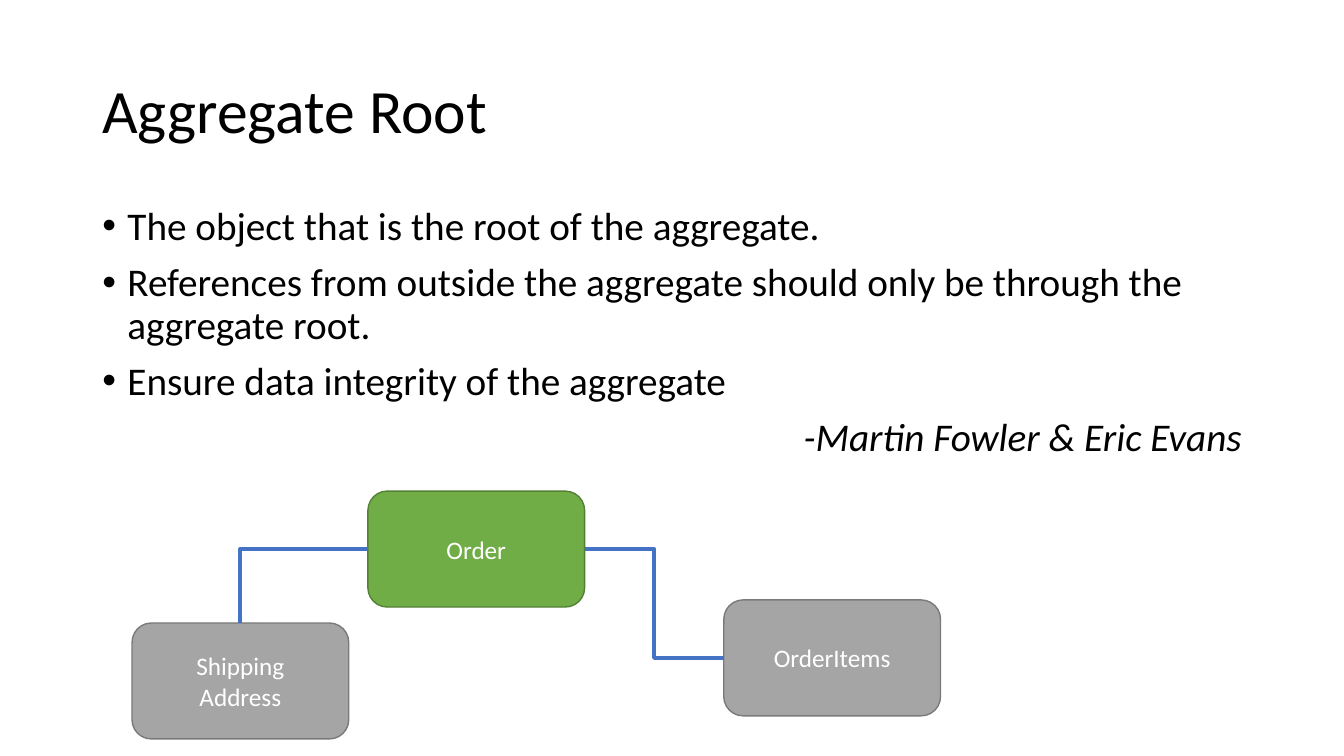
from lxml import etree
from pptx import Presentation
from pptx.dml.color import RGBColor
from pptx.enum.shapes import MSO_CONNECTOR, MSO_SHAPE
from pptx.enum.text import MSO_ANCHOR, PP_ALIGN
from pptx.oxml.ns import qn
from pptx.util import Pt

ELBOW = MSO_CONNECTOR.ELBOW
ROUNDED = MSO_SHAPE.ROUNDED_RECTANGLE
MIDDLE, TOP = MSO_ANCHOR.MIDDLE, MSO_ANCHOR.TOP
LEFT, CENTER, RIGHT = PP_ALIGN.LEFT, PP_ALIGN.CENTER, PP_ALIGN.RIGHT
SIDE_TOP, SIDE_LEFT, SIDE_RIGHT = 0, 1, 3

COLORS = {
    "text": "000000",
    "label": "FFFFFF",
    "root": "70AD47",
    "root_line": "538035",
    "member": "A5A5A5",
    "member_line": "7A7A7A",
    "link": "4472C4",
}


def color(name):
    return RGBColor.from_string(COLORS[name])


def write_lines(shape, lines, anchor, font_format, paragraph_format):
    frame = shape.text_frame
    frame.word_wrap = True
    frame.vertical_anchor = anchor
    frame.text = "\n".join(lines)
    for paragraph in frame.paragraphs:
        for name, value in paragraph_format.items():
            setattr(paragraph, name, value)
        font = paragraph.runs[0].font
        for name, value in font_format.items():
            setattr(font, name, value)
    return frame.paragraphs


presentation = Presentation()
presentation.slide_width = Pt(960)
presentation.slide_height = Pt(540)
slide = presentation.slides.add_slide(presentation.slide_layouts[6])

title = slide.shapes.add_textbox(Pt(66), Pt(28.8), Pt(828), Pt(104.4))
title_font = {"name": "Calibri", "size": Pt(44)}
title_paragraphs = write_lines(
    title, ["Aggregate Root"], MIDDLE, title_font, {"line_spacing": 0.9}
)

body = slide.shapes.add_textbox(Pt(66), Pt(144), Pt(828), Pt(342.7))
body_lines = [
    "The object that is the root of the aggregate.",
    "References from outside the aggregate should only be through the aggregate root.",
    "Ensure data integrity of the aggregate",
    "-Martin Fowler & Eric Evans",
]
body_font = {"name": "Calibri", "size": Pt(28)}
body_format = {"alignment": LEFT, "line_spacing": 0.9, "space_before": Pt(10)}
body_paragraphs = write_lines(body, body_lines, TOP, body_font, body_format)

for paragraph in (*title_paragraphs, *body_paragraphs):
    paragraph.runs[0].font.color.rgb = color("text")

*bullets, attribution = body_paragraphs
for paragraph in bullets:
    properties = paragraph._p.get_or_add_pPr()
    properties.set("marL", str(Pt(18)))
    properties.set("indent", str(Pt(-18)))
    etree.SubElement(properties, qn("a:buFont")).set("typeface", "Arial")
    etree.SubElement(properties, qn("a:buChar")).set("char", "•")
attribution.alignment = RIGHT
attribution.runs[0].font.italic = True

entities = [
    (["Order"], 262.8, 350.8, "root"),
    (["OrderItems"], 517, 428.5, "member"),
    (["Shipping", "Address"], 94.3, 445, "member"),
]
label_font = {"name": "Calibri", "size": Pt(18)}
boxes = []
for lines, left, top, role in entities:
    box = slide.shapes.add_shape(ROUNDED, Pt(left), Pt(top), Pt(154.8), Pt(82.8))
    box.shadow.inherit = False
    box.fill.solid()
    box.fill.fore_color.rgb = color(role)
    box.line.color.rgb = color(role + "_line")
    box.line.width = Pt(1)
    for paragraph in write_lines(box, lines, MIDDLE, label_font, {"alignment": CENTER}):
        paragraph.runs[0].font.color.rgb = color("label")
    boxes.append(box)

order, order_items, shipping_address = boxes
links = [
    (SIDE_LEFT, shipping_address, SIDE_TOP, "bentConnector2"),
    (SIDE_RIGHT, order_items, SIDE_LEFT, "bentConnector3"),
]
for order_side, member, member_side, geometry in links:
    link = slide.shapes.add_connector(ELBOW, order.left, order.top, member.left, member.top)
    link.begin_connect(order, order_side)
    link.end_connect(member, member_side)
    link.line.color.rgb = color("link")
    link.line.width = Pt(3)
    properties = link._element.spPr
    properties.find(qn("a:prstGeom")).set("prst", geometry)
    etree.SubElement(properties, qn("a:effectLst"))
    if geometry == "bentConnector2":
        transform = properties.find(qn("a:xfrm"))
        width, height = link.width, link.height
        transform.set("rot", "10800000")
        transform.set("flipV", "1")
        transform.attrib.pop("flipH", None)
        link.width, link.height = width, height

presentation.save("out.pptx")
